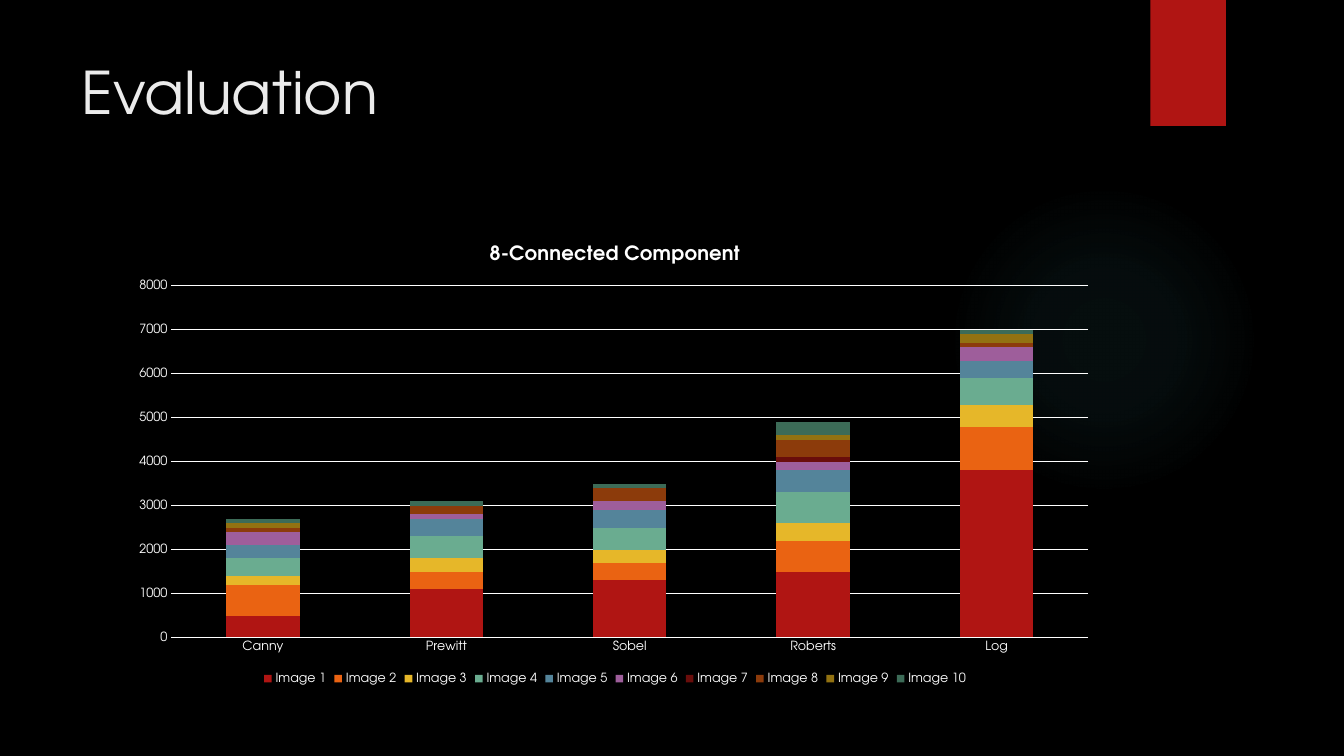
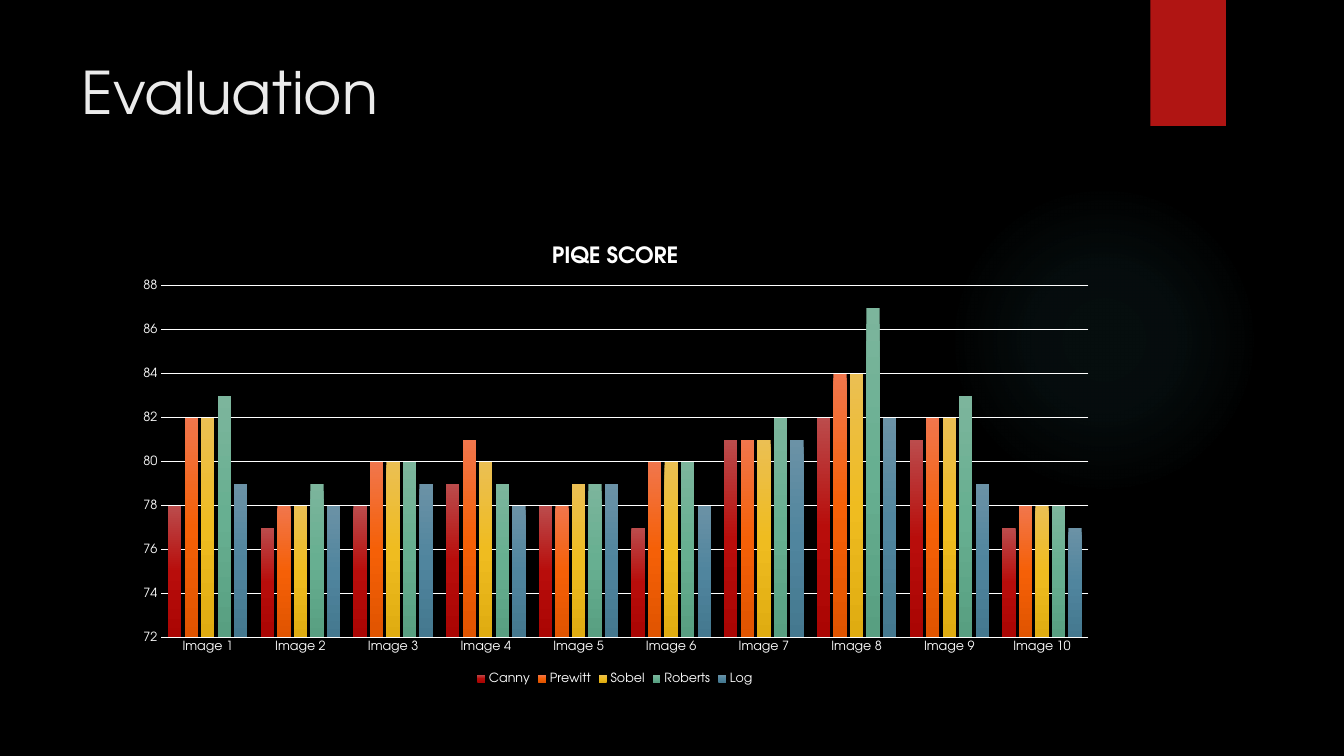
from dataclasses import dataclass
from lxml import etree
from pptx import Presentation
from pptx import util as u
from pptx.chart import data as cd
from pptx.dml import color as dc
from pptx.enum import chart as ec, shapes, text
from pptx.oxml import ns


@dataclass(frozen=True)
class Theme:
    font: str = "TeX Gyre Adventor"
    back: str = "000000"
    ink: str = "FFFFFF"
    head: str = "EBEBEB"
    red: str = "B01513"
    glow: str = "50B9C1"
    big: int = 42
    base: int = 10
    small: int = 9
    hues: tuple = ("B01513", "EA6312", "E6B729", "6AAC90", "54849A",
                   "9E5E9B", "6A0D0B", "8C3B0B", "927211", "3C6B57")
    fades: tuple = (("BB4C4C", "B80D0B", "AA0503"), ("F1764C", "F56007", "E05400"),
                    ("EBBF53", "EFBC20", "DFAC11"), ("7CB59C", "67AF91", "589F81"),
                    ("6B92A6", "50859E", "44788F"))


T = Theme()
WIDE, HIGH = u.Inches(13.33), u.Inches(7.5)
TOOLS = ["Canny", "Prewitt", "Sobel", "Roberts", "Log"]
PICS = [f"Image {n}" for n in range(1, 11)]
COUNTS = [
    (500, 1100, 1300, 1500, 3800),
    (700, 400, 400, 700, 1000),
    (200, 300, 300, 400, 500),
    (400, 500, 500, 700, 600),
    (300, 400, 400, 500, 400),
    (300, 100, 200, 200, 300),
    (0, 0, 0, 100, 0),
    (100, 200, 300, 400, 100),
    (100, 0, 0, 100, 200),
    (100, 100, 100, 300, 100),
]
SCORES = [
    (78, 77, 78, 79, 78, 77, 81, 82, 81, 77),
    (82, 78, 80, 81, 78, 80, 81, 84, 82, 78),
    (82, 78, 80, 80, 79, 80, 81, 84, 82, 78),
    (83, 79, 80, 79, 79, 80, 82, 87, 83, 78),
    (79, 78, 79, 78, 79, 78, 81, 82, 79, 77),
]


def box(x, y, w, h):
    return [u.Inches(v) for v in (x, y, w, h)]


def node(top, tag, **attrs):
    return etree.SubElement(top, ns.qn(tag), {k: str(v) for k, v in attrs.items()})


def tint(top, hue, alpha=100):
    mark = node(top, "a:srgbClr", val=hue)
    if alpha < 100:
        node(mark, "a:alpha", val=alpha * 1000)


def style(font, size, hue=T.ink, bold=False):
    font.name, font.size, font.bold = T.font, u.Pt(size), bold
    font.color.rgb = dc.RGBColor.from_string(hue)


def write(frame, words, **look):
    para = frame.paragraphs[0]
    run = para.add_run()
    run.text = words
    style(run.font, **look)


def solid(fill, hue):
    fill.solid()
    fill.fore_color.rgb = dc.RGBColor.from_string(hue)


def fade(fill, props, stops, round=False):
    fill.gradient()
    grad = props.find(ns.qn("a:gradFill"))
    for old in list(grad):
        grad.remove(old)
    row = node(grad, "a:gsLst")
    for pos, hue, alpha in stops:
        tint(node(row, "a:gs", pos=pos * 1000), hue, alpha)
    if round:
        path = node(grad, "a:path", path="circle")
        node(path, "a:fillToRect", l=50000, t=50000, r=50000, b=50000)
    else:
        node(grad, "a:lin", ang=90 * 60000, scaled=0)


def decor(slide, layout):
    glow = slide.shapes.add_shape(shapes.MSO_SHAPE.OVAL, *box(9.41, 1.83, 3.08, 3.08))
    glow.shadow.inherit = False
    fade(glow.fill, glow.element.spPr,
         [(0, T.glow, 7), (36, T.glow, 6), (69, T.glow, 0)], round=True)
    band = slide.shapes.add_shape(shapes.MSO_SHAPE.RECTANGLE, *box(11.41, 0, 0.75, 1.25))
    band.shadow.inherit = False
    solid(band.fill, T.red)
    drop = node(band.element.spPr.find(ns.qn("a:effectLst")), "a:outerShdw",
                blurRad=u.Pt(3), dist=u.Pt(2), dir=90 * 60000, rotWithShape=0)
    tint(drop, "000000", 45)
    for part in (glow, band):
        part.line.fill.background()
        layout.shapes.element.append(part.element)


def title(slide, words):
    head = slide.shapes.title
    head.left, head.top, head.width, head.height = box(0.71, 0.5, 10.29, 1.53)
    frame = head.text_frame
    frame.word_wrap = True
    frame.vertical_anchor = text.MSO_ANCHOR.TOP
    frame.paragraphs[0].alignment = text.PP_ALIGN.LEFT
    write(frame, words, size=T.big, hue=T.head)


def inner(chart, x, y, w, h):
    plot = chart.element.find(".//" + ns.qn("c:plotArea"))
    for old in plot.findall(ns.qn("c:layout")):
        plot.remove(old)
    spot = node(plot, "c:layout")
    plot.insert(0, spot)
    hand = node(spot, "c:manualLayout")
    node(hand, "c:layoutTarget", val="inner")
    for key in ("xMode", "yMode"):
        node(hand, "c:" + key, val="edge")
    for key, val in zip("xywh", (x, y, w, h)):
        node(hand, "c:" + key, val=val)


def axes(chart, low, high, step, rule):
    cat, val = chart.category_axis, chart.value_axis
    val.minimum_scale, val.maximum_scale, val.major_unit = low, high, step
    val.has_major_gridlines = True
    for axis in (cat, val):
        axis.major_tick_mark = axis.minor_tick_mark = ec.XL_TICK_MARK.NONE
        style(axis.tick_labels.font, T.small)
    val.format.line.fill.background()
    for line, size in ((cat.format.line, rule), (val.major_gridlines.format.line, 0.75)):
        solid(line.fill, T.ink)
        line.width = u.Pt(size)


def graph(slide, area, kind, name, size, cats, names, rows, gap, lap, scale, rule, left, fades=None):
    data = cd.CategoryChartData()
    data.categories = cats
    for key, vals in zip(names, rows):
        data.add_series(key, vals)
    chart = slide.shapes.add_chart(kind, *area, data).chart
    style(chart.font, T.base)
    chart.has_title = True
    write(chart.chart_title.text_frame, name, size=size, bold=True)
    chart.has_legend = True
    chart.legend.position = ec.XL_LEGEND_POSITION.BOTTOM
    chart.legend.include_in_layout = False
    style(chart.legend.font, T.small)
    axes(chart, *scale, rule)
    plot = chart.plots[0]
    plot.gap_width, plot.overlap, plot.vary_by_categories = gap, lap, False
    for n, ser in enumerate(plot.series):
        ser.invert_if_negative = False
        if fades:
            fill = ser.format.fill
            fill.solid()
            stops = [(pos, hue, 100) for pos, hue in zip((0, 50, 100), fades[n])]
            fade(fill, ser.format.element.spPr, stops)
        else:
            solid(ser.format.fill, T.hues[n])
    inner(chart, left, 0.13, 0.98 - left, 0.76)


def main():
    deck = Presentation()
    deck.slide_width, deck.slide_height = WIDE, HIGH
    solid(deck.slide_master.background.fill, T.back)
    layout = deck.slide_layouts[5]
    kinds = ec.XL_CHART_TYPE
    looks = [
        dict(kind=kinds.COLUMN_STACKED, name="8-Connected Component", size=14,
             cats=TOOLS, names=PICS, rows=COUNTS, gap=150, lap=100,
             scale=(0, 8000, 1000), rule=0.75, left=0.05),
        dict(kind=kinds.COLUMN_CLUSTERED, name="PIQE SCORE", size=16,
             cats=PICS, names=TOOLS, rows=SCORES, gap=100, lap=-24,
             scale=(72, 88, 2), rule=1, left=0.04, fades=T.fades),
    ]
    for n, look in enumerate(looks):
        slide = deck.slides.add_slide(layout)
        if n == 0:
            decor(slide, layout)
        title(slide, "Evaluation")
        graph(slide, box(1.21, 2.24, 9.78, 4.59), **look)
    deck.save("out.pptx")


if __name__ == "__main__":
    main()
